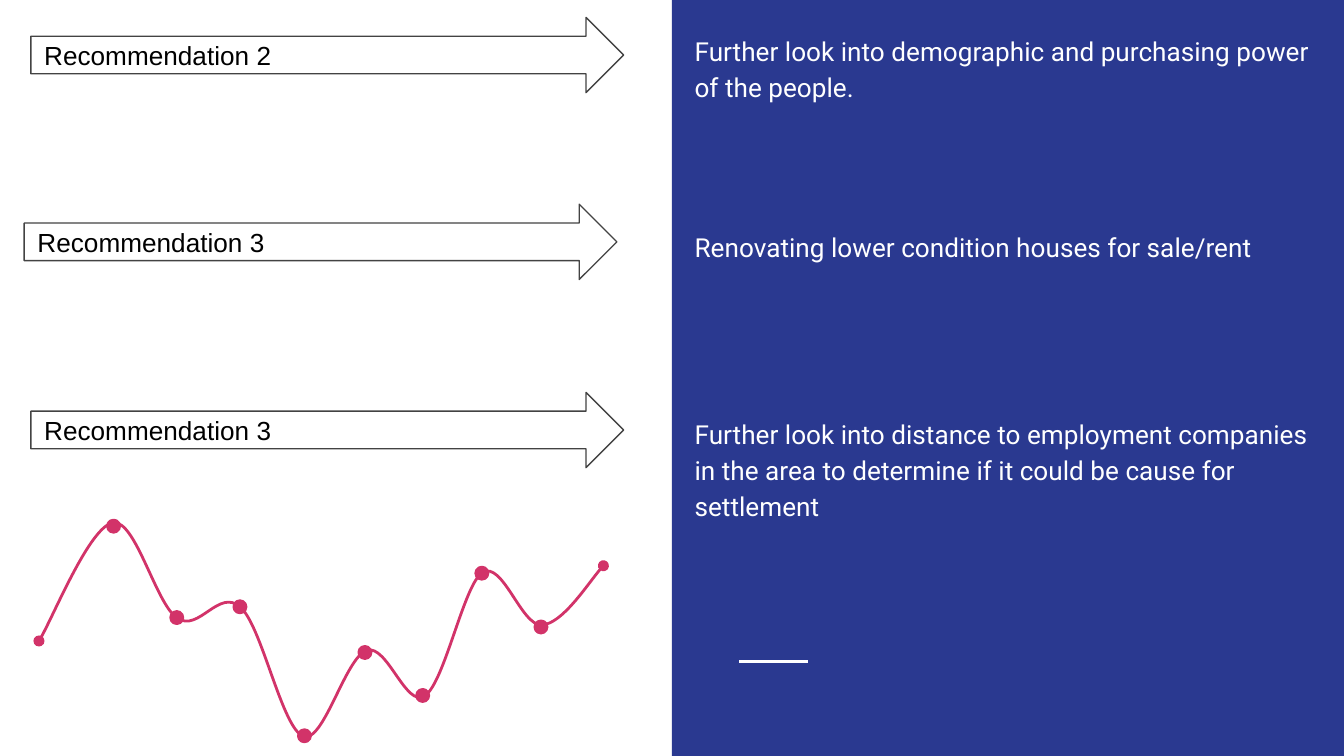
from itertools import pairwise

from lxml import etree
from pptx import Presentation
from pptx import util as u
from pptx.dml.color import RGBColor
from pptx.enum import shapes, text
from pptx.oxml.ns import qn

PX = 9144
WHITE = RGBColor(0xFF, 0xFF, 0xFF)
BLACK = RGBColor(0, 0, 0)
NAVY = RGBColor(0x2A, 0x39, 0x90)
PINK = RGBColor(0xD2, 0x33, 0x69)
GREY = RGBColor(0x43, 0x43, 0x43)
KIND = shapes.MSO_SHAPE

ARROWS = [
    (23, 13, "Recommendation 2"),
    (18, 152, "Recommendation 3"),
    (23, 292, "Recommendation 3"),
]
NOTES = [
    (13, 71, "Further look into demographic and purchasing power of the people."),
    (159, 44, "Renovating lower condition houses for sale/rent"),
    (298, 98, "Further look into distance to employment companies in the area "
              "to determine if it could be cause for settlement"),
]
CURVE = [
    (29, 477),
    (38, 463), (67, 392), (84, 389),
    (101, 386), (116, 450), (132, 460),
    (148, 471), (163, 437), (179, 452),
    (195, 466), (210, 543), (226, 548),
    (241, 553), (257, 489), (273, 484),
    (288, 479), (302, 527), (316, 518),
    (331, 508), (345, 435), (359, 426),
    (374, 417), (388, 466), (403, 465),
    (418, 465), (441, 429), (449, 421),
]
DOTS = [(80, 387), (127, 455), (174, 447), (222, 543),
        (267, 481), (310, 513), (354, 422), (398, 462)]


def emu(*sizes):
    return [u.Emu(size * PX) for size in sizes]


def apply(thing, values):
    for name, value in values.items():
        setattr(thing, name, value)


class Board:
    frame = dict(word_wrap=True, **dict.fromkeys(
        ("margin_left", "margin_top", "margin_right", "margin_bottom"), u.Emu(10 * PX)))
    size = u.Pt(14)

    def __init__(self, deck):
        self.items = deck.slides.add_slide(deck.slide_layouts[6]).shapes

    def stroke(self, line, color, width):
        line.color.rgb = color
        line.width = u.Pt(width)

    def shape(self, kind, box, fill, edge=None, width=1.5):
        item = self.items.add_shape(kind, *emu(*box))
        item.shadow.inherit = False
        item.fill.solid()
        item.fill.fore_color.rgb = fill
        if edge is None:
            item.line.fill.background()
        else:
            self.stroke(item.line, edge, width)
        return item

    def label(self, item, words, font, color, anchor, fit, space=None):
        frame = item.text_frame
        apply(frame, self.frame | dict(vertical_anchor=anchor, auto_size=fit))
        para = frame.paragraphs[0]
        apply(para, dict(alignment=text.PP_ALIGN.LEFT, line_spacing=space))
        run = para.add_run()
        run.text = words
        apply(run.font, dict(name=font, size=self.size))
        run.font.color.rgb = color

    def arrow(self, left, top, words):
        item = self.shape(KIND.RIGHT_ARROW, (left, top, 441, 56), WHITE, GREY, 0.75)
        self.label(item, words, "Arial", BLACK,
                   text.MSO_ANCHOR.MIDDLE, text.MSO_AUTO_SIZE.NONE)

    def note(self, top, height, words):
        item = self.items.add_textbox(*emu(507, top, 487, height))
        self.label(item, words, "Roboto", WHITE,
                   text.MSO_ANCHOR.TOP, text.MSO_AUTO_SIZE.SHAPE_TO_FIT_TEXT, 1.15)

    def rule(self, start, end, color):
        item = self.items.add_connector(
            shapes.MSO_CONNECTOR.STRAIGHT, *emu(*start, *end))
        self.stroke(item.line, color, 1.5)
        etree.SubElement(item._element.spPr, qn("a:effectLst"))

    def curve(self, points, color):
        pen = self.items.build_freeform(*points[0], scale=PX)
        pen.add_line_segments(points[1:], close=False)
        item = pen.convert_to_shape()
        item.shadow.inherit = False
        item.fill.background()
        self.stroke(item.line, color, 1.5)
        for end in ("a:headEnd", "a:tailEnd"):
            etree.SubElement(item.line._ln, qn(end), type="oval")
        steps = list(item._element.iter(qn("a:lnTo")))
        route = steps[0].getparent()
        marks = range(0, len(steps) + 1, 3)
        for first, last in pairwise(marks):
            bend = etree.SubElement(route, qn("a:cubicBezTo"))
            for step in steps[first:last]:
                bend.append(step[0])
                route.remove(step)


def main():
    deck = Presentation()
    deck.slide_width = u.Emu(1000 * PX)
    deck.slide_height = u.Emu(deck.slide_width * 9 // 16)
    board = Board(deck)
    panel = board.shape(KIND.RECTANGLE, (500, 0, 500, 562), NAVY)
    panel.height = deck.slide_height
    board.rule((550, 492), (601, 492), WHITE)
    board.curve(CURVE, PINK)
    for left, top in DOTS:
        board.shape(KIND.OVAL, (left, top, 9, 9), PINK, PINK)
    for arrow in ARROWS:
        board.arrow(*arrow)
    for note in NOTES:
        board.note(*note)
    deck.save("out.pptx")


if __name__ == "__main__":
    main()
